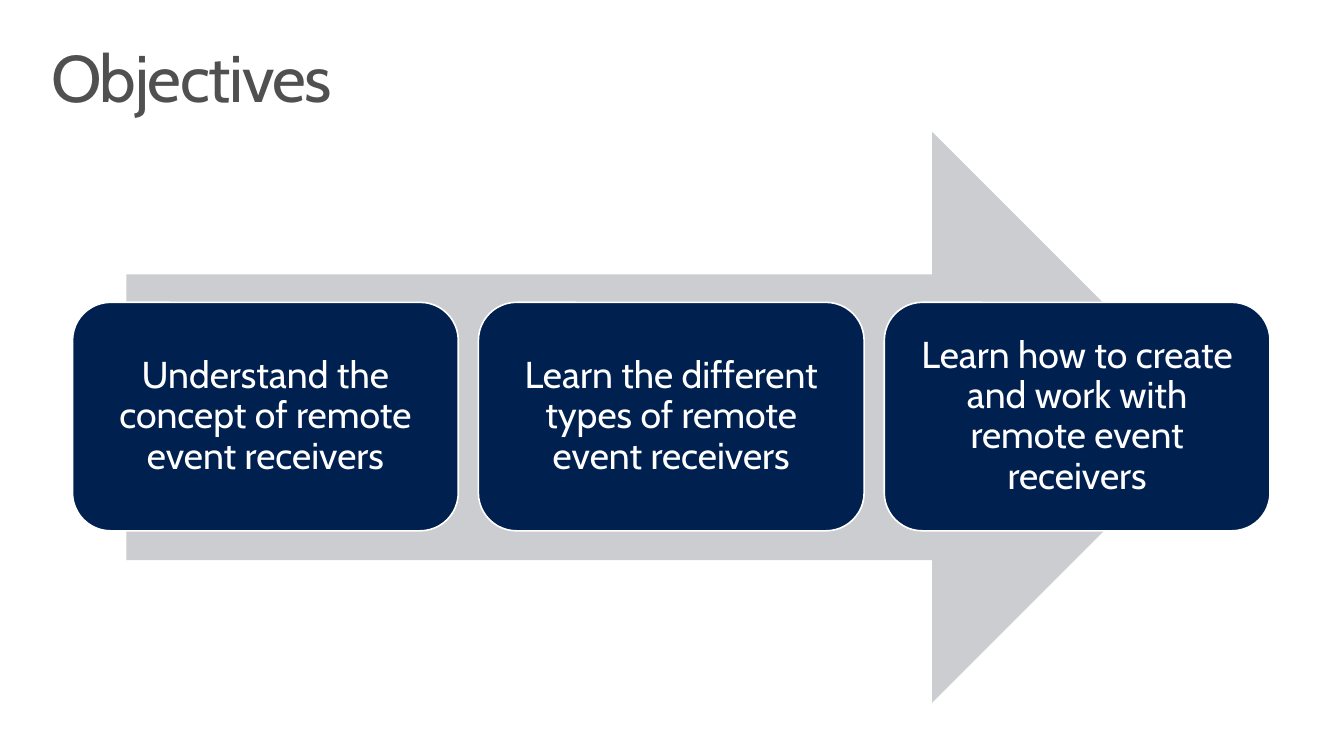
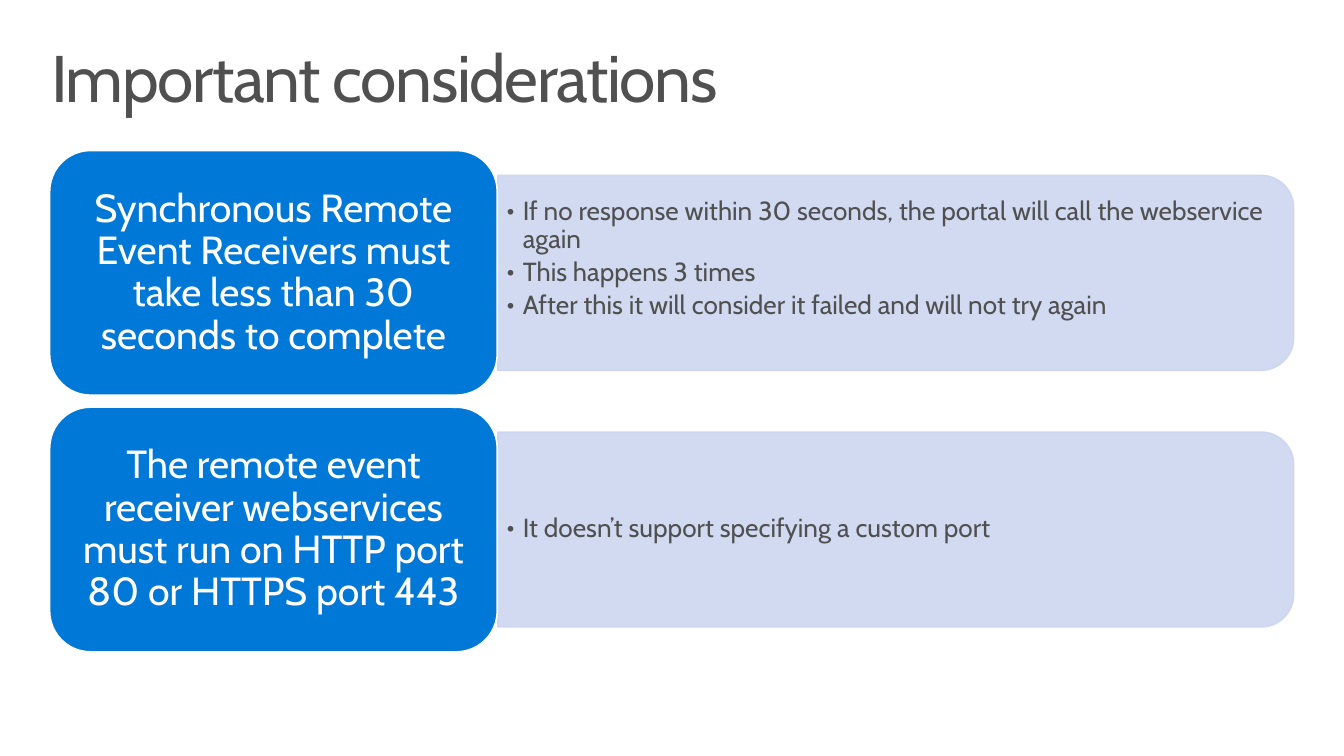
"""Build two slides on remote event receivers: objectives and considerations."""
from lxml.etree import SubElement
from pptx import Presentation
from pptx.dml.color import RGBColor
from pptx.enum.shapes import MSO_SHAPE as Shape
from pptx.enum.text import MSO_ANCHOR as Anchor, PP_ALIGN as Align
from pptx.oxml.ns import qn
from pptx.util import Inches, Pt

FONT = "Cabin"
WHITE = RGBColor(0xFF, 0xFF, 0xFF)
GREY_TEXT = RGBColor(0x50, 0x50, 0x50)
ARROW_GREY = RGBColor(0xCC, 0xCD, 0xD0)
NAVY = RGBColor(0x00, 0x20, 0x50)
BLUE = RGBColor(0x00, 0x78, 0xD7)
PALE_BLUE = RGBColor(0xCC, 0xD6, 0xF0)


def add_block(slide, kind, place, fill, outline=None):
    block = slide.shapes.add_shape(kind, *map(Inches, place))
    block.shadow.inherit = False
    block.fill.solid()
    block.fill.fore_color.rgb = fill
    if outline is None:
        block.line.fill.background()
    else:
        block.line.color.rgb = outline
        block.line.width = Pt(0.85)
    return block


def write(holder, lines, size, color, insets, align=Align.LEFT, anchor=Anchor.MIDDLE):
    frame = holder.text_frame
    frame.word_wrap = True
    frame.vertical_anchor = anchor
    frame.margin_left = frame.margin_right = Inches(insets[0])
    frame.margin_top = frame.margin_bottom = Inches(insets[1])
    frame.text = "\n".join(lines)
    for paragraph in frame.paragraphs:
        paragraph.alignment = align
        paragraph.line_spacing = 0.9
        for run in paragraph.runs:
            run.font.name = FONT
            run.font.size = Pt(size)
            run.font.color.rgb = color
    return frame


deck = Presentation()
deck.slide_width, deck.slide_height = Inches(10), Inches(10 * 9 / 16)
blank = deck.slide_layouts[6]
objectives, considerations = [deck.slides.add_slide(blank) for _ in range(2)]

add_block(objectives, Shape.RIGHT_ARROW, (0.94, 0.98, 8.12, 4.25), ARROW_GREY)
goals = [
    "Understand the concept of remote event receivers",
    "Learn the different types of remote event receivers",
    "Learn how to create and work with remote event receivers",
]
for column, goal in enumerate(goals):
    card = add_block(objectives, Shape.ROUNDED_RECTANGLE,
                     (0.54 + column * 3.02, 2.25, 2.87, 1.7), NAVY, WHITE)
    write(card, [goal], 20, WHITE, (0.08, 0.08), Align.CENTER)

rules = [
    ("Synchronous Remote Event Receivers must take less than 30 seconds to complete",
     ["If no response within 30 seconds, the portal will call the webservice again",
      "This happens 3 times",
      "After this it will consider it failed and will not try again"], 0.23),
    ("The remote event receiver webservices must run on HTTP port 80 or HTTPS port 443",
     ["It doesn’t support specifying a custom port"], 0.03),
]
for row, (rule, details, bottom_inset) in enumerate(rules):
    top = 1.12 + row * 1.91
    panel = add_block(considerations, Shape.ROUND_2_SAME_RECTANGLE,
                      (5.94, top - 2.05, 1.45, 5.92), PALE_BLUE, PALE_BLUE)
    panel.rotation = 90
    for tint in panel.element.spPr.iter(qn("a:srgbClr")):
        SubElement(tint, qn("a:alpha"), val="90000")

    notes = considerations.shapes.add_textbox(
        *map(Inches, (3.71, top + 0.25, 5.85, 1.31)))
    frame = write(notes, details, 14, GREY_TEXT, (0.06, 0.03))
    frame.margin_bottom = Inches(bottom_inset)
    for paragraph in frame.paragraphs:
        paragraph.space_after = Pt(2.5)
        properties = paragraph._p.get_or_add_pPr()
        properties.set("marL", str(Inches(0.12)))
        properties.set("indent", str(Inches(-0.12)))
        SubElement(properties, qn("a:buFont"), typeface=FONT)
        SubElement(properties, qn("a:buChar"), char="•")

    heading = add_block(considerations, Shape.ROUNDED_RECTANGLE,
                        (0.37, top, 3.33, 1.82), BLUE, WHITE)
    write(heading, [rule], 21, WHITE, (0.09, 0.04), Align.CENTER)

for slide, title in ((objectives, "Objectives"),
                     (considerations, "Important considerations")):
    banner = slide.shapes.add_textbox(*map(Inches, (0.22, 0.24, 9.56, 0.74)))
    frame = write(banner, [title], 35.3, GREY_TEXT, (0.16, 0.1), anchor=Anchor.TOP)
    frame.paragraphs[0].runs[0].font._element.set("spc", "-70")

deck.save("out.pptx")
